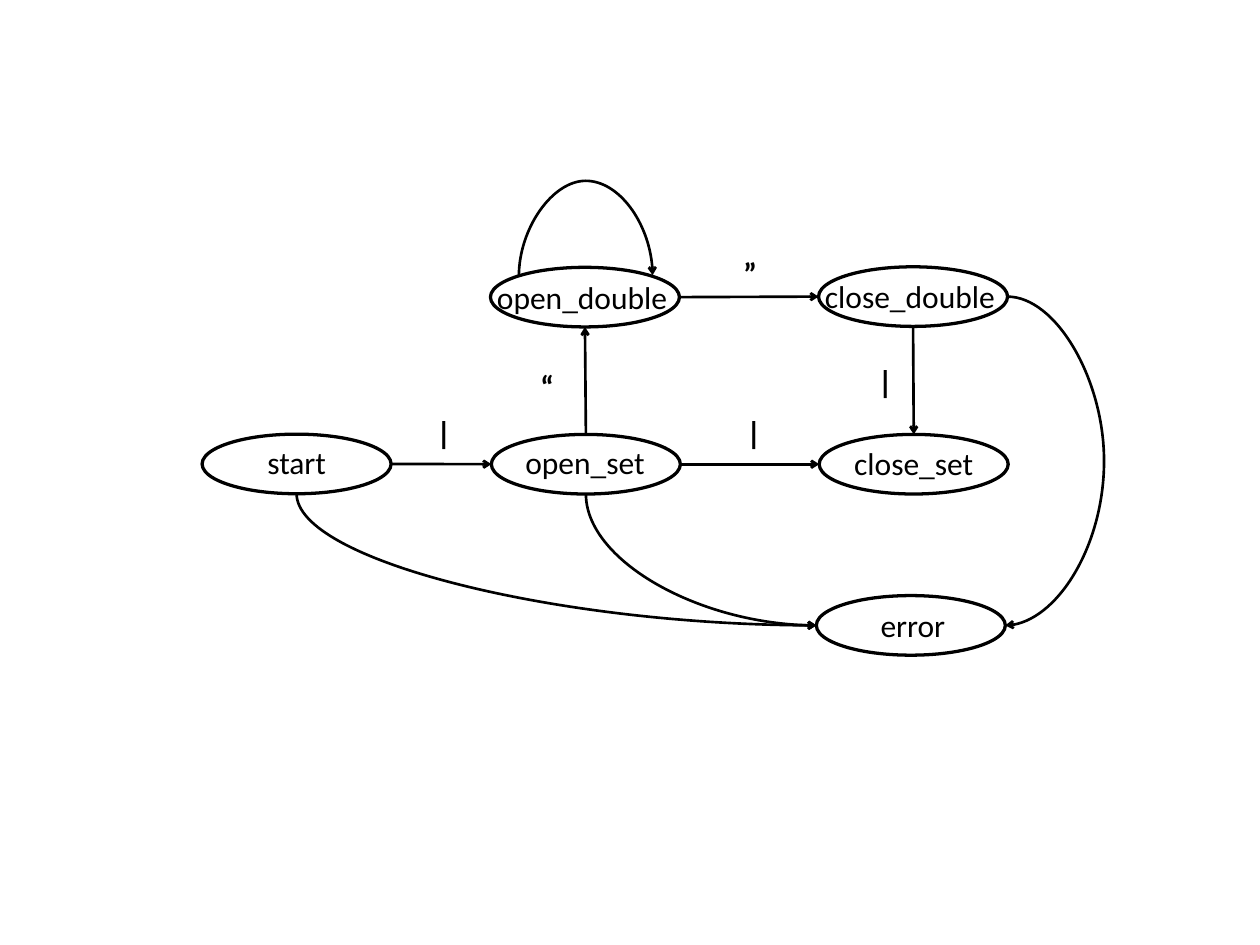
from lxml.etree import SubElement
from pptx import Presentation
from pptx.dml.color import RGBColor
from pptx.enum.shapes import MSO_CONNECTOR as CONN, MSO_SHAPE as SHAPE
from pptx.enum.text import MSO_AUTO_SIZE as AUTO
from pptx.oxml.ns import qn
from pptx.util import Pt

BLACK = "000000"
NODE_W, NODE_H = 144, 45.4
BULGE = 73.5

# name: (left, top, label left, label top, label width)
NODES = {
    "start": (154, 330.8, 196.6, 334.1, 59.8),
    "error": (622, 453.8, 663.8, 457.9, 64.1),
    "open_set": (374.4, 331, 393.1, 334.1, 106.6),
    "close_set": (624.2, 331, 643.7, 334.8, 106.6),
    "open_double": (373.7, 203.7, 371.5, 208.1, 145.4),
    "close_double": (623.7, 203.3, 621.4, 207.4, 145.4),
}
SYMBOLS = [
    ("|", 325.4, 311), ("|", 561.6, 311), ("|", 661.7, 272.2),
    ("“", 404.6, 275.8), ("”", 559.4, 190.1),
]
STEPS = [
    ("start", "right", "open_set", "left"),
    ("open_set", "right", "close_set", "left"),
    ("open_set", "top", "open_double", "bottom"),
    ("open_double", "right", "close_double", "left"),
    ("close_double", "bottom", "close_set", "top"),
]


def color(hex_text):
    return RGBColor.from_string(hex_text)


def anchor(name, side):
    """Return the point in the middle of one side of a node."""
    x, y = NODES[name][:2]
    fx, fy = {"left": (0, 0.5), "right": (1, 0.5),
              "top": (0.5, 0), "bottom": (0.5, 1)}[side]
    return x + fx * NODE_W, y + fy * NODE_H


def add_text(s, text, x, y, w, bold=False):
    tf = s.shapes.add_textbox(Pt(x), Pt(y), Pt(w), Pt(36.3)).text_frame
    tf.word_wrap = False
    tf.auto_size = AUTO.SHAPE_TO_FIT_TEXT
    p = tf.paragraphs[0]
    p.text = text
    p.font.name, p.font.size, p.font.bold = "Calibri", Pt(24), bold
    p.font.color.rgb = color(BLACK)


def add_node(s, name):
    x, y, label_x, label_y, label_w = NODES[name]
    sp = s.shapes.add_shape(SHAPE.OVAL, Pt(x), Pt(y), Pt(NODE_W), Pt(NODE_H))
    sp.shadow.inherit = False
    sp.fill.background()
    sp.line.color.rgb = color(BLACK)
    sp.line.width = Pt(2.5)
    add_text(s, name, label_x, label_y, label_w)


def add_arrow(s, start, end, kind=CONN.STRAIGHT):
    c = s.shapes.add_connector(kind, *(Pt(v) for v in (*start, *end)))
    c.line.color.rgb = color(BLACK)
    c.line.width = Pt(2)
    SubElement(c.line._get_or_add_ln(), qn("a:tailEnd"), type="arrow")
    SubElement(c._element.spPr, qn("a:effectLst"))
    return c


def add_curve(s, start, end, turn=0, bulge=None):
    """Draw a curve turned by quarter turns; without a bulge it is one bend."""
    cx, cy = (start[0] + end[0]) / 2, (start[1] + end[1]) / 2
    dx, dy = end[0] - cx, end[1] - cy
    for _ in range(turn):
        dx, dy = dy, -dx
    c = add_arrow(s, (cx - dx, cy - dy), (cx + dx, cy + dy), CONN.CURVE)
    spPr = c._element.spPr
    if turn:
        spPr.find(qn("a:xfrm")).set("rot", str(turn * 5400000))
    geom = spPr.find(qn("a:prstGeom"))
    if bulge is None:
        geom.set("prst", "curvedConnector2")
    else:
        ratio = round(bulge / abs(2 * dx) * 100000)
        SubElement(geom.find(qn("a:avLst")), qn("a:gd"),
                   name="adj1", fmla=f"val {ratio}")


def main():
    prs = Presentation()
    prs.slide_width, prs.slide_height = Pt(960), Pt(720)
    s = prs.slides.add_slide(prs.slide_layouts[6])
    for name in NODES:
        add_node(s, name)
    for text, x, y in SYMBOLS:
        add_text(s, text, x, y, 25.6, bold=True)
    for source, out_side, target, in_side in STEPS:
        add_arrow(s, anchor(source, out_side), anchor(target, in_side))
    for name in ("start", "open_set"):
        add_curve(s, anchor(name, "bottom"), anchor("error", "left"), turn=3)
    add_curve(s, anchor("close_double", "right"), anchor("error", "right"),
              bulge=-BULGE)
    add_curve(s, (395.3, 210.7), (497.2, 209.7), turn=1, bulge=BULGE)
    prs.save("out.pptx")


if __name__ == "__main__":
    main()
